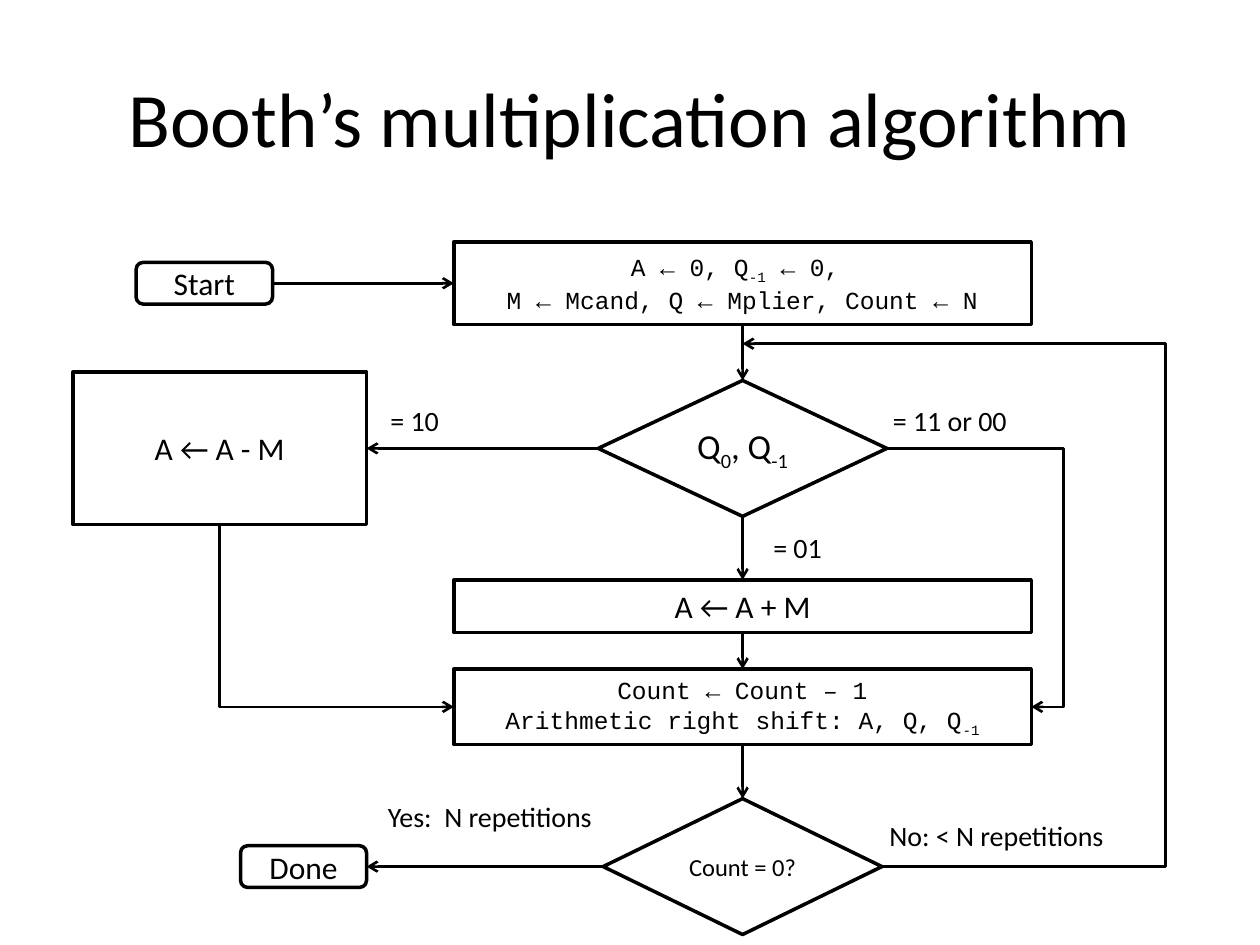
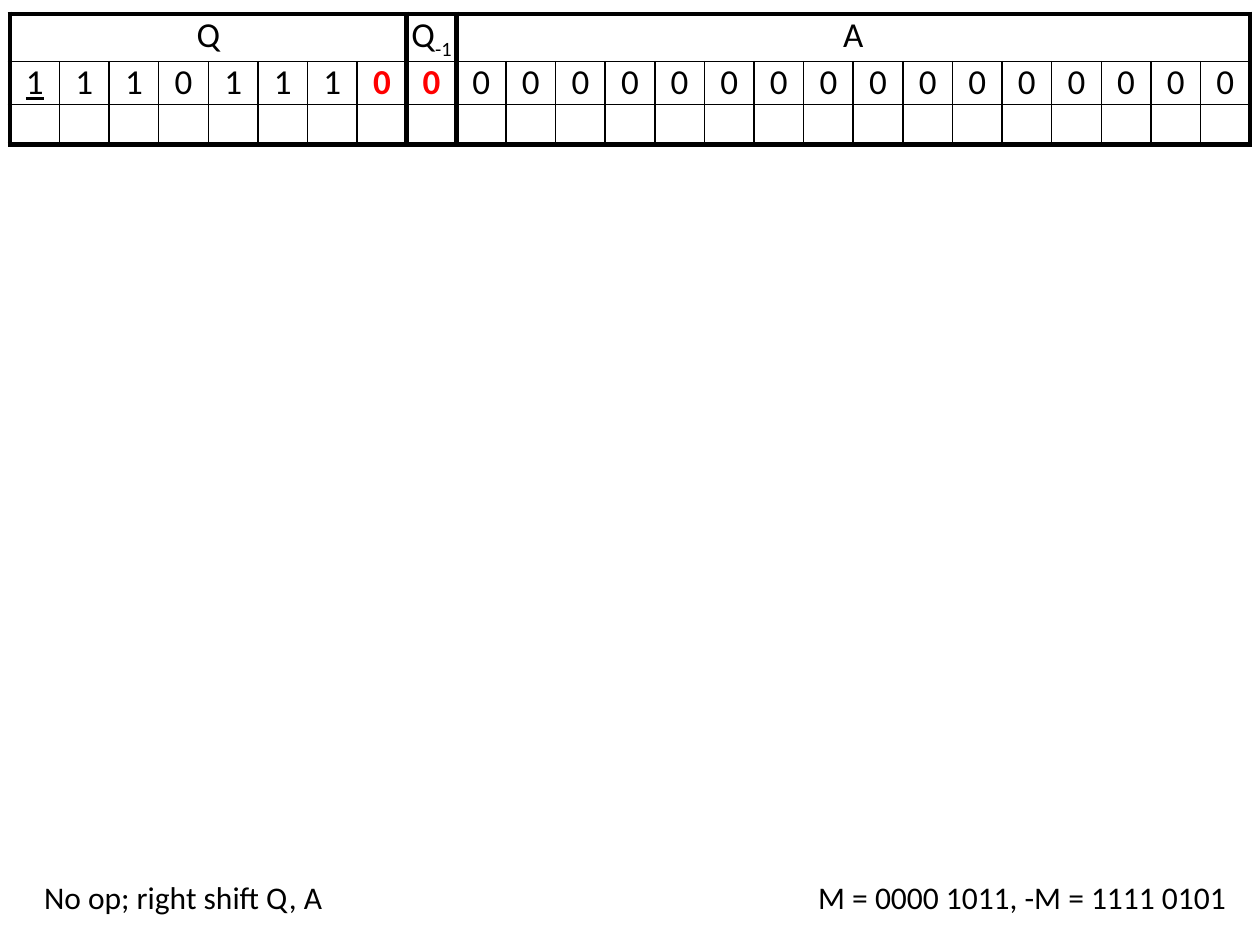
from lxml import etree
from pptx import Presentation
from pptx.dml.color import RGBColor
from pptx.enum import shapes, text
from pptx.oxml import ns
from pptx.util import Cm, Pt

BLACK = "000000"
RED = "FF0000"
BODY_FONT = "Calibri"
CODE_FONT = "Courier New"
TOP, LEFT, BOTTOM, RIGHT = range(4)  # connection sites
CENTER = text.PP_ALIGN.CENTER


def colour(value):
    return RGBColor.from_string(value)


def write(text_frame, lines, size, font=BODY_FONT, align=None, fill=BLACK):
    """Write one paragraph per line; parts between bars become subscripts."""
    for index, line in enumerate(lines):
        paragraph = text_frame.paragraphs[0] if index == 0 else text_frame.add_paragraph()
        paragraph.alignment = align
        for number, part in enumerate(line.split("|")):
            if not part:
                continue
            run = paragraph.add_run()
            run.text = part
            run.font.name = font
            run.font.size = Pt(size)
            run.font.color.rgb = colour(fill)
            if number % 2:
                run.font._element.set("baseline", "-25000")


def add_label(slide, content, left, top, width, height, size, align=None, anchor=None):
    box = slide.shapes.add_textbox(Cm(left), Cm(top), Cm(width), Cm(height))
    box.text_frame.word_wrap = True
    box.text_frame.vertical_anchor = anchor
    write(box.text_frame, [content], size, align=align)


def add_node(slide, kind, center_x, center_y, width, height, lines, size, font=BODY_FONT):
    node = slide.shapes.add_shape(kind, Cm(center_x - width / 2), Cm(center_y - height / 2),
                                  Cm(width), Cm(height))
    node.shadow.inherit = False
    node.fill.background()
    node.line.color.rgb = colour(BLACK)
    node.line.width = Pt(2)
    node.text_frame.word_wrap = True
    node.text_frame.vertical_anchor = text.MSO_ANCHOR.MIDDLE
    write(node.text_frame, lines, size, font, CENTER)
    return node


def add_arrow(slide, source, source_site, target=None, target_site=None, point=None, via_x=None):
    """Connect two nodes, or a node and a point; via_x bends the arrow there."""
    kind = shapes.MSO_CONNECTOR.STRAIGHT if via_x is None else shapes.MSO_CONNECTOR.ELBOW
    arrow = slide.shapes.add_connector(kind, 0, 0, 0, 0)
    arrow.begin_connect(source, source_site)
    if target is not None:
        arrow.end_connect(target, target_site)
    else:
        arrow.end_x, arrow.end_y = (Cm(value) for value in point)
    arrow.line.color.rgb = colour(BLACK)
    arrow.line.width = Pt(1.5)
    etree.SubElement(arrow.line._get_or_add_ln(), ns.qn("a:tailEnd"), type="arrow")
    properties = arrow._element.spPr
    etree.SubElement(properties, ns.qn("a:effectLst"))
    if via_x is not None:
        ratio = (Cm(via_x) - arrow.begin_x) / (arrow.end_x - arrow.begin_x)
        guides = properties.find(ns.qn("a:prstGeom")).get_or_add_avLst()
        etree.SubElement(guides, ns.qn("a:gd"), name="adj1", fmla=f"val {round(ratio * 100000)}")
    return arrow


def bend_down_then_right(arrow):
    """Turn a connector into one corner that goes down first."""
    left, top, width, height = arrow.left, arrow.top, arrow.width, arrow.height
    arrow.left, arrow.top = left + (width - height) // 2, top + (height - width) // 2
    arrow.width, arrow.height = height, width
    properties = arrow._element.spPr
    properties.find(ns.qn("a:prstGeom")).set("prst", "bentConnector2")
    frame = properties.find(ns.qn("a:xfrm"))
    frame.set("rot", str(270 * 60000))
    frame.set("flipH", "1")


def draw_flowchart(slide, left, top):
    main_x = left + 13.5
    step_width = 11.64
    start_y, test_y, count_y = top + 0.83, top + 4.16, top + 12.59
    process = shapes.MSO_SHAPE.FLOWCHART_PROCESS
    decision = shapes.MSO_SHAPE.FLOWCHART_DECISION
    terminal = shapes.MSO_SHAPE.FLOWCHART_ALTERNATE_PROCESS

    start = add_node(slide, terminal, left + 2.65, start_y, 2.75, 0.84, ["Start"], 18)
    setup = add_node(slide, process, main_x, start_y, step_width, 1.67,
                     ["A ← 0, Q|-1| ← 0, ", "M ← Mcand, Q ← Mplier, Count ← N"], 14, CODE_FONT)
    test = add_node(slide, decision, main_x, test_y, 5.82, 2.74, ["Q|0|, Q|-1|"], 20)
    subtract = add_node(slide, process, left + 2.96, test_y, 5.92, 3.07, ["A ← A - M"], 18)
    add = add_node(slide, process, main_x, top + 7.34, step_width, 1.06, ["A ← A + M"], 18)
    shift = add_node(slide, process, main_x, top + 9.37, step_width, 1.52,
                     ["Count ← Count – 1", "Arithmetic right shift: A, Q, Q|-1|"], 14, CODE_FONT)
    count = add_node(slide, decision, main_x, count_y, 5.62, 2.74, ["Count = 0?"], 14)
    done = add_node(slide, terminal, left + 4.65, count_y, 2.54, 0.84, ["Done"], 18)

    steps = [setup, test, add, shift, count]
    for upper, lower in zip(steps, steps[1:]):
        add_arrow(slide, upper, BOTTOM, lower, TOP)
    add_arrow(slide, start, RIGHT, setup, LEFT)
    add_arrow(slide, test, LEFT, subtract, RIGHT)
    add_arrow(slide, count, LEFT, done, RIGHT)
    add_arrow(slide, test, RIGHT, shift, RIGHT, via_x=left + 19.97)
    add_arrow(slide, count, RIGHT, point=(main_x, top + 2.05), via_x=left + 22.03)
    bend_down_then_right(add_arrow(slide, subtract, BOTTOM, shift, LEFT))

    for content, x, y in [
        ("= 10", 6.15, 3.17),
        ("= 11 or 00", 16.28, 3.17),
        ("= 01", 13.87, 5.74),
        ("Yes:  N repetitions", 6.1, 11.15),
        ("No: < N repetitions", 16.21, 11.53),
    ]:
        add_label(slide, content, left + x, top + y, 5.1, 0.84, 16,
                  anchor=text.MSO_ANCHOR.MIDDLE)


def set_borders(cell, widths):
    """Set border widths in points, keyed by L, R, T and B."""
    properties = cell._tc.get_or_add_tcPr()
    for side, width in widths.items():
        line = etree.SubElement(properties, ns.qn(f"a:ln{side}"), w=str(Pt(width)))
        fill = etree.SubElement(line, ns.qn("a:solidFill"))
        etree.SubElement(fill, ns.qn("a:srgbClr"), val=BLACK)


def draw_registers(slide, left, top):
    registers = [("Q", "11101110"), ("Q|-1|", "0"), ("A", "0" * 16)]
    bits = "".join(value for _, value in registers)
    row_count, column_count = 3, len(bits)
    cell_width, cell_height = 1, 0.81
    table = slide.shapes.add_table(row_count, column_count, Cm(left), Cm(top),
                                   Cm(cell_width * column_count),
                                   Cm(cell_height * row_count)).table
    table.first_row = table.horz_banding = False
    for column in table.columns:
        column.width = Cm(cell_width)

    edges = [0]
    for name, value in registers:
        first, end = edges[-1], edges[-1] + len(value)
        edges.append(end)
        if len(value) > 1:
            table.cell(0, first).merge(table.cell(0, end - 1))
        write(table.cell(0, first).text_frame, [name], 20, align=CENTER)

    tested = (edges[1] - 1, edges[1])
    for column, bit in enumerate(bits):
        frame = table.cell(1, column).text_frame
        write(frame, [bit], 20, align=CENTER, fill=RED if column in tested else BLACK)
        font = frame.paragraphs[0].runs[0].font
        font.bold = column in tested
        font.underline = column == 0

    for row in range(row_count):
        for column in range(column_count):
            cell = table.cell(row, column)
            cell.margin_left = cell.margin_right = cell.margin_top = cell.margin_bottom = 0
            thick = {
                "L": column in edges,
                "R": column + cell.span_width in edges,
                "T": row == 0,
                "B": row == row_count - 1,
            }
            set_borders(cell, {side: 3 if heavy else 1 for side, heavy in thick.items()})
            cell.fill.background()


def draw_notes_line(slide, left, top, width):
    box_width = 9.73
    add_label(slide, "No op; right shift Q, A", left, top, box_width, 1.02, 18)
    add_label(slide, "M = 0000 1011, -M = 1111 0101", left + width - box_width, top,
              box_width, 1.02, 18, text.PP_ALIGN.RIGHT)


def add_algorithm_slide(presentation):
    slide = presentation.slides.add_slide(presentation.slide_layouts[5])
    title = slide.shapes.title
    title.left, title.top, title.width, title.height = Cm(1.27), Cm(0.76), Cm(22.86), Cm(3.18)
    title.text_frame.vertical_anchor = text.MSO_ANCHOR.MIDDLE
    write(title.text_frame, ["Booth’s multiplication algorithm"], 44, align=CENTER)
    draw_flowchart(slide, 1.47, 4.88)


def add_example_slide(presentation):
    slide = presentation.slides.add_slide(presentation.slide_layouts[6])
    draw_registers(slide, 0.2, 0.28)
    draw_notes_line(slide, 0.64, 17.57, 24.33)


def main():
    presentation = Presentation()
    presentation.slide_width, presentation.slide_height = Cm(25.4), Cm(19.05)
    add_algorithm_slide(presentation)
    add_example_slide(presentation)
    presentation.save("out.pptx")


if __name__ == "__main__":
    main()
